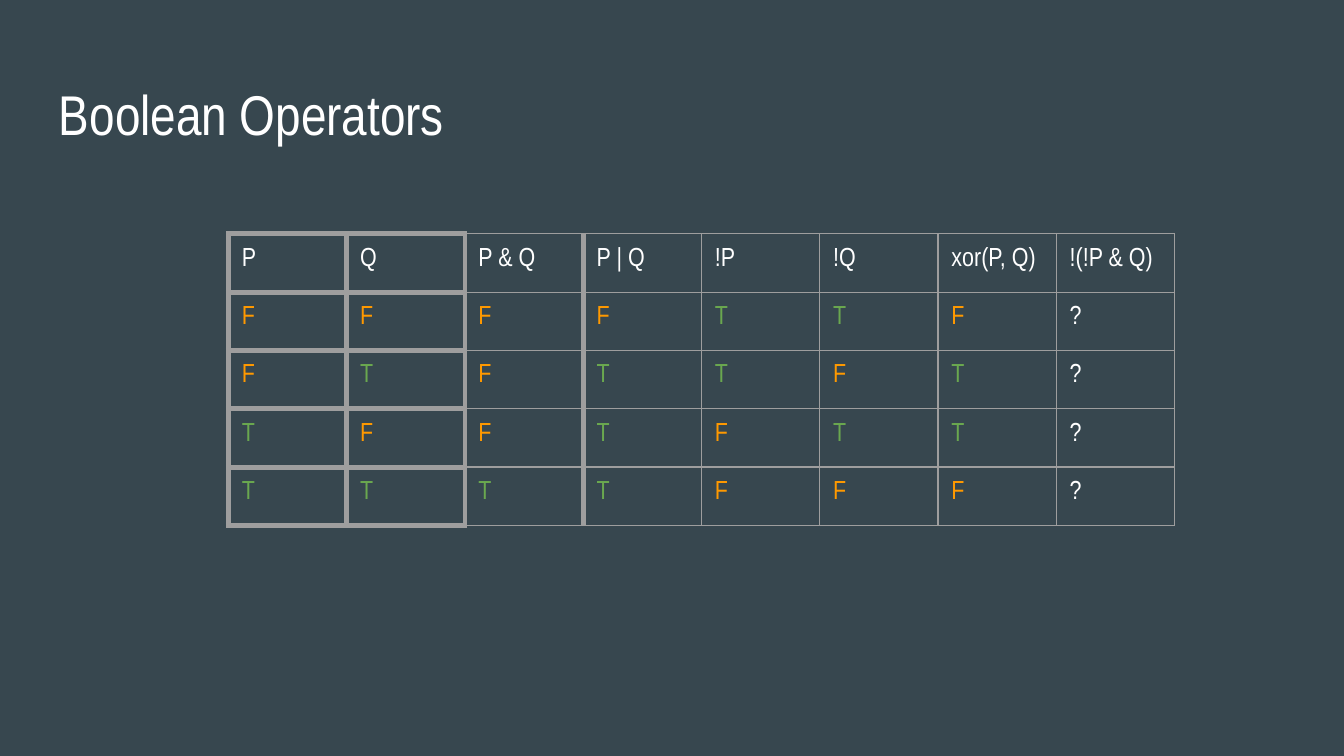
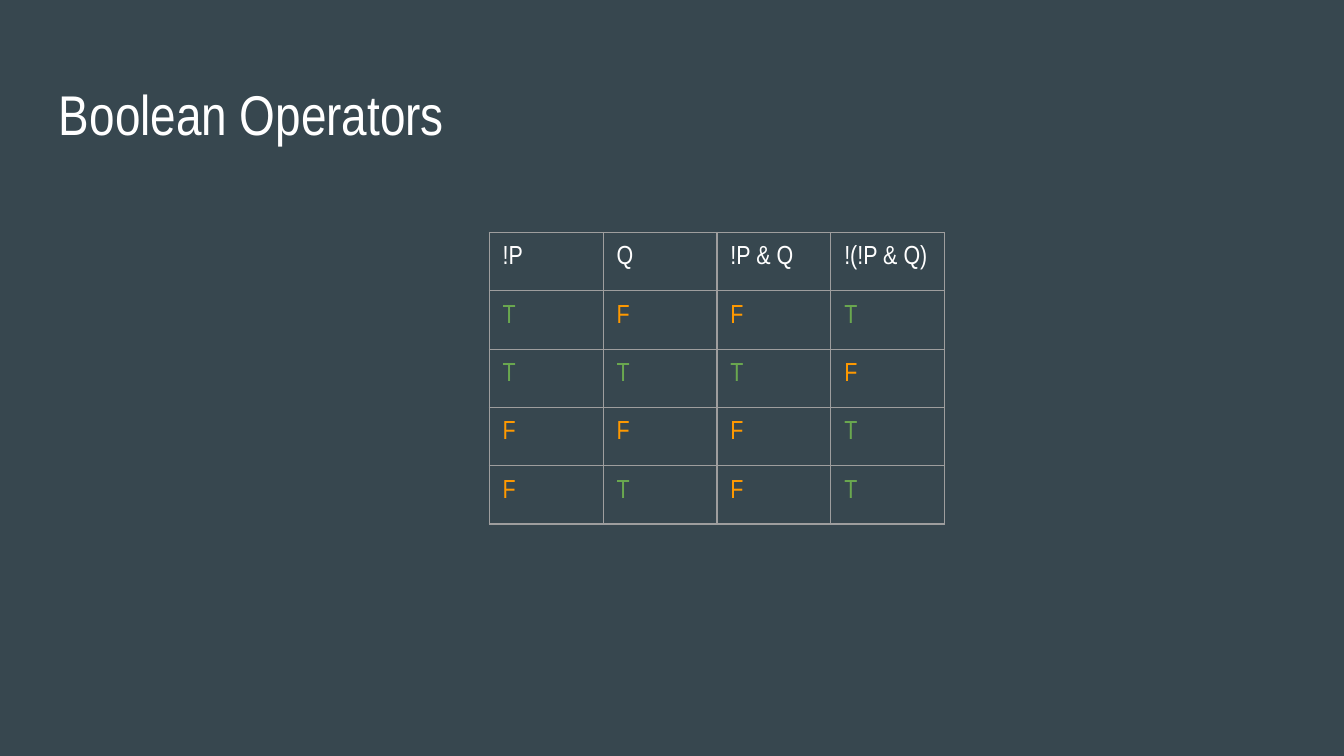
from pptx import Presentation
from pptx.dml.color import RGBColor
from pptx.enum.text import MSO_ANCHOR
from pptx.oxml import parse_xml
from pptx.oxml.ns import nsdecls
from pptx.util import Inches, Pt

FONT = "Arial Narrow"
BACK, WHITE, GREY = "37474F", "FFFFFF", "9E9E9E"
INKS = {"T": "6AA84F", "F": "FF9900"}
THIN, THICK = 0.75, 3
PAD = 0.1
SIZE = 3.28

FULL = [
    ["P", "Q", "P & Q", "P | Q", "!P", "!Q", "xor(P, Q)", "!(!P & Q)"],
    *map(list, ("FFFFTTF?", "FTFTTFT?", "TFFTFTT?", "TTTTFFF?")),
]
PART = [
    ["!P", "Q", "!P & Q", "!(!P & Q)"],
    *map(list, ("TFFT", "TTTF", "FFFT", "FTFT")),
]


def color(code):
    """Turn a hex string into a colour."""
    return RGBColor.from_string(code)


def write(frame, text, size, ink):
    """Add one styled run to the first paragraph of a frame."""
    run = frame.paragraphs[0].add_run()
    run.text = text
    run.font.name = FONT
    run.font.size = Pt(size)
    run.font.color.rgb = color(ink)


def pad(item):
    """Give a cell or text frame equal margins on all sides."""
    item.margin_left = item.margin_right = Inches(PAD)
    item.margin_top = item.margin_bottom = Inches(PAD)


def edge(cell, sides):
    """Draw the cell borders, given a width for each side."""
    props = cell._tc.get_or_add_tcPr()
    for spot, (side, width) in enumerate(sides.items()):
        props.insert(spot, parse_xml(
            f'<a:ln{side} {nsdecls("a")} w="{Pt(width)}" cap="flat" cmpd="sng">'
            f'<a:solidFill><a:srgbClr val="{GREY}"/></a:solidFill>'
            f'<a:prstDash val="solid"/></a:ln{side}>'))


def title(slide, text, box):
    """Place the slide title in its box."""
    frame = slide.shapes.add_textbox(*map(Inches, box)).text_frame
    frame.word_wrap = True
    frame.vertical_anchor = MSO_ANCHOR.TOP
    pad(frame)
    write(frame, text, 30, WHITE)


def grid(slide, rows, spot, wide, highs, bold):
    """Place a truth table whose first bold columns have thick borders."""
    box = slide.shapes.add_table(
        len(rows), len(rows[0]), *map(Inches, (*spot, SIZE, SIZE)))
    table = box.table
    table.first_row = table.horz_banding = False
    for col in table.columns:
        col.width = Inches(wide)
    for r, (row, high) in enumerate(zip(rows, highs)):
        table.rows[r].height = Inches(high)
        for c, text in enumerate(row):
            cell = table.cell(r, c)
            cell.fill.background()
            pad(cell)
            write(cell.text_frame, text, 14, INKS.get(text, WHITE))
            sides = dict.fromkeys("LRTB", THICK if c < bold else THIN)
            if bold and c == bold:
                sides["L"] = sides["R"] = THICK
            if bold and c == bold + 1:
                sides["L"] = THICK
            edge(cell, sides)
    box.width = box.height = Inches(SIZE)


def page(deck, rows, spot, wide, highs, bold=0):
    """Add a slide with the shared ground, title and a truth table."""
    slide = deck.slides.add_slide(deck.slide_layouts[6])
    ground = slide.background.fill
    ground.solid()
    ground.fore_color.rgb = color(BACK)
    title(slide, "Boolean Operators", (0.34, 0.49, 9.32, 0.63))
    grid(slide, rows, spot, wide, highs, bold)


def main():
    """Build and save the deck."""
    deck = Presentation()
    deck.slide_width = Inches(10)
    deck.slide_height = deck.slide_width * 9 // 16
    page(deck, FULL, (1.7, 1.74), 0.88, [0.42] * 5, bold=2)
    page(deck, PART, (3.64, 1.73), 3.39 / 4, [0.42] + [0.43] * 4)
    deck.save("out.pptx")


if __name__ == "__main__":
    main()
